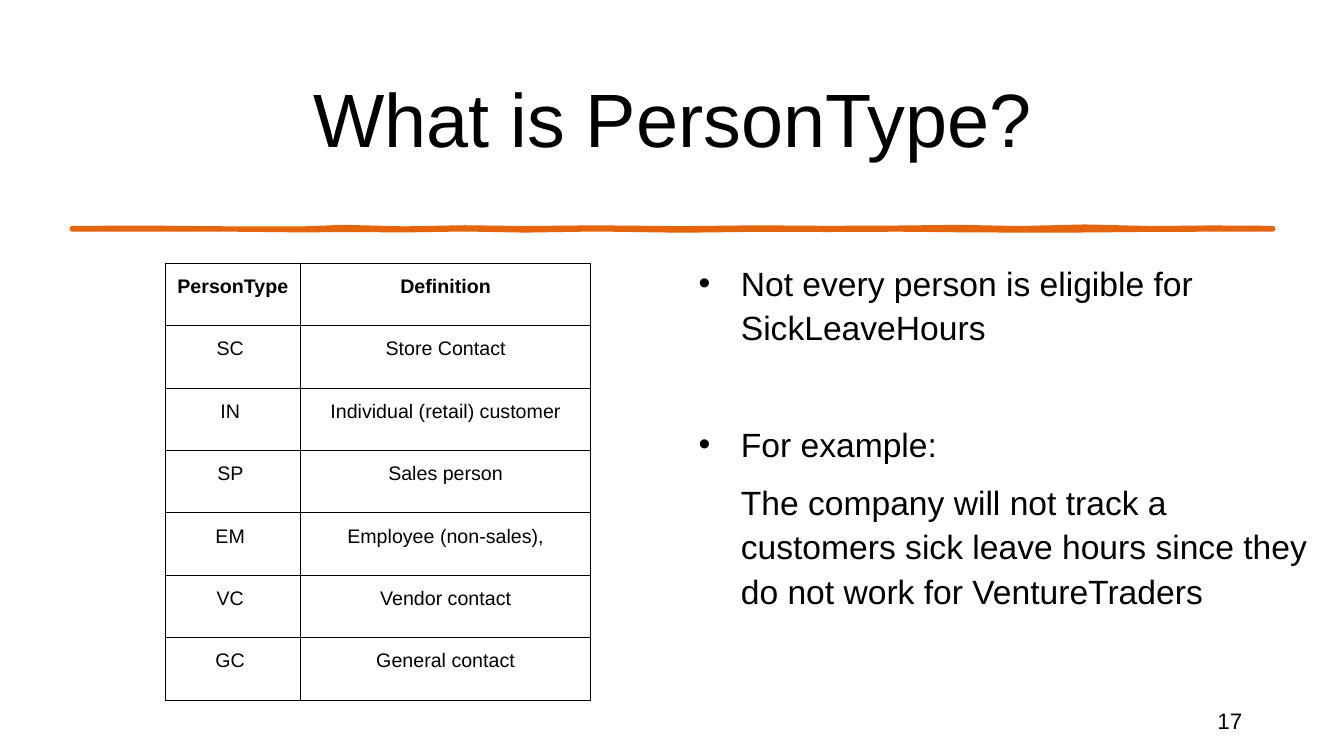
from lxml import etree
from pptx import Presentation
from pptx.dml.color import RGBColor
from pptx.enum.text import MSO_ANCHOR as Anchor, PP_ALIGN as Align
from pptx.oxml.ns import qn
from pptx.util import Inches, Pt

COLORS = {"text": "000000", "border": "000000", "brush": "E4650E"}
FONT = "Arial"
PERSON_TYPES = [
    ("PersonType", "Definition"),
    ("SC ", "Store Contact"),
    ("IN ", "Individual (retail) customer"),
    ("SP ", "Sales person"),
    ("EM ", "Employee (non-sales),"),
    ("VC ", "Vendor contact"),
    ("GC ", "General contact"),
]
# text, bulleted, space before in points
NOTES = [
    ("Not every person is eligible for SickLeaveHours", True, 10),
    ("For example:", True, 51.5),
    ("The company will not track a customers sick leave hours since they "
     "do not work for VentureTraders", False, 10),
]
# distance along the stroke, top and bottom edge in hundredths of an inch
BRUSH_EDGES = [
    (0, -1, 1), (0.8, -1.2, 0.8), (1.6, -0.5, 1), (2.3, -0.5, 1.7),
    (2.7, -2, 1.3), (3.3, -0.5, 1.7), (3.9, -1.6, 0.8), (4.5, -0.8, 1.9),
    (5.2, -1.5, 0.8), (6.05, -0.7, 2), (6.8, -1.5, 1.1), (7.5, -1, 1.3),
    (8.2, -1.3, 1), (8.8, -2, 1.6), (9.4, -0.8, 1.9), (10.05, -2.4, 1.8),
    (10.7, -0.8, 1.2), (11.3, -1.4, 1), (11.92, -1, 1),
]


def rgb(name):
    return RGBColor.from_string(COLORS[name])


def format_paragraph(paragraph, size, align, bold=False):
    paragraph.alignment = align
    for run in paragraph.runs:
        run.font.name = FONT
        run.font.size = Pt(size)
        run.font.bold = bold
        run.font.color.rgb = rgb("text")


def space_paragraph(paragraph, before):
    paragraph.line_spacing = 1.1
    paragraph.space_before = Pt(before)


def add_text_frame(slide, left, top, width, height, anchor):
    box = slide.shapes.add_textbox(Inches(left), Inches(top),
                                   Inches(width), Inches(height))
    frame = box.text_frame
    frame.word_wrap = True
    frame.vertical_anchor = anchor
    return frame


def add_line(slide, text, size, align, box):
    frame = add_text_frame(slide, *box, Anchor.MIDDLE)
    frame.text = text
    format_paragraph(frame.paragraphs[0], size, align)


def add_brush_stroke(slide, left, middle):
    top_edge = [(left + x, middle + top / 100) for x, top, _ in BRUSH_EDGES]
    bottom_edge = [(left + x, middle + low / 100) for x, _, low in BRUSH_EDGES]
    outline = [(Inches(x), Inches(y)) for x, y in top_edge + bottom_edge[::-1]]
    builder = slide.shapes.build_freeform(*outline[0])
    builder.add_line_segments(outline[1:], close=True)
    stroke = builder.convert_to_shape()
    stroke.shadow.inherit = False
    stroke.fill.solid()
    stroke.fill.fore_color.rgb = rgb("brush")
    stroke.line.color.rgb = rgb("brush")
    stroke.line.width = Pt(2.75)
    etree.SubElement(stroke.line._get_or_add_ln(), qn("a:round"))


def add_cell_borders(cell):
    properties = cell._tc.get_or_add_tcPr()
    for position, side in enumerate(("lnL", "lnR", "lnT", "lnB")):
        border = etree.Element(qn(f"a:{side}"), w=str(Pt(0.75)))
        fill = etree.SubElement(border, qn("a:solidFill"))
        etree.SubElement(fill, qn("a:srgbClr"), val=COLORS["border"])
        properties.insert(position, border)


def add_person_types(slide, left, top, widths, row_height):
    height = row_height * len(PERSON_TYPES)
    table = slide.shapes.add_table(
        len(PERSON_TYPES), len(widths), Inches(left), Inches(top),
        Inches(sum(widths)), Inches(height)).table
    table.horz_banding = False
    for column, width in zip(table.columns, widths):
        column.width = Inches(width)
    for r, entry in enumerate(PERSON_TYPES):
        table.rows[r].height = Inches(row_height)
        for c, text in enumerate(entry):
            cell = table.cell(r, c)
            cell.fill.background()
            cell.margin_left = cell.margin_right = Inches(0.1)
            cell.margin_top = cell.margin_bottom = Inches(0.1)
            cell.text = text
            paragraph = cell.text_frame.paragraphs[0]
            format_paragraph(paragraph, 14, Align.CENTER, bold=r == 0)
            space_paragraph(paragraph, 10)
            add_cell_borders(cell)


def add_bullet(paragraph):
    properties = paragraph._p.get_or_add_pPr()
    color = etree.SubElement(properties, qn("a:buClr"))
    etree.SubElement(color, qn("a:srgbClr"), val=COLORS["text"])
    etree.SubElement(properties, qn("a:buFont"), typeface=FONT)
    etree.SubElement(properties, qn("a:buChar"), char="•")


def add_notes(slide, box):
    """Bulleted points beside the table, with an indented example."""
    frame = add_text_frame(slide, *box, Anchor.TOP)
    frame.text = "\n".join(text for text, _, _ in NOTES)
    for paragraph, (_, bulleted, before) in zip(frame.paragraphs, NOTES):
        format_paragraph(paragraph, 24, Align.LEFT)
        space_paragraph(paragraph, before)
        properties = paragraph._p.get_or_add_pPr()
        properties.set("marL", str(Inches(0.5)))
        properties.set("indent", str(Inches(-0.42 if bulleted else 0)))
        if bulleted:
            add_bullet(paragraph)


def main():
    deck = Presentation()
    deck.slide_width, deck.slide_height = Inches(13.33), Inches(7.5)
    slide = deck.slides.add_slide(deck.slide_layouts[6])
    add_brush_stroke(slide, left=0.71, middle=2.27)
    add_line(slide, "What is PersonType?", 54, Align.CENTER,
             (0.92, 0.66, 11.5, 1.01))
    add_line(slide, "17", 16, Align.RIGHT, (9.42, 6.95, 3, 0.4))
    add_person_types(slide, left=1.64, top=2.61, widths=(1.34, 2.88),
                     row_height=0.62)
    add_notes(slide, (6.75, 2.52, 6.34, 3.47))
    deck.save("out.pptx")


if __name__ == "__main__":
    main()
